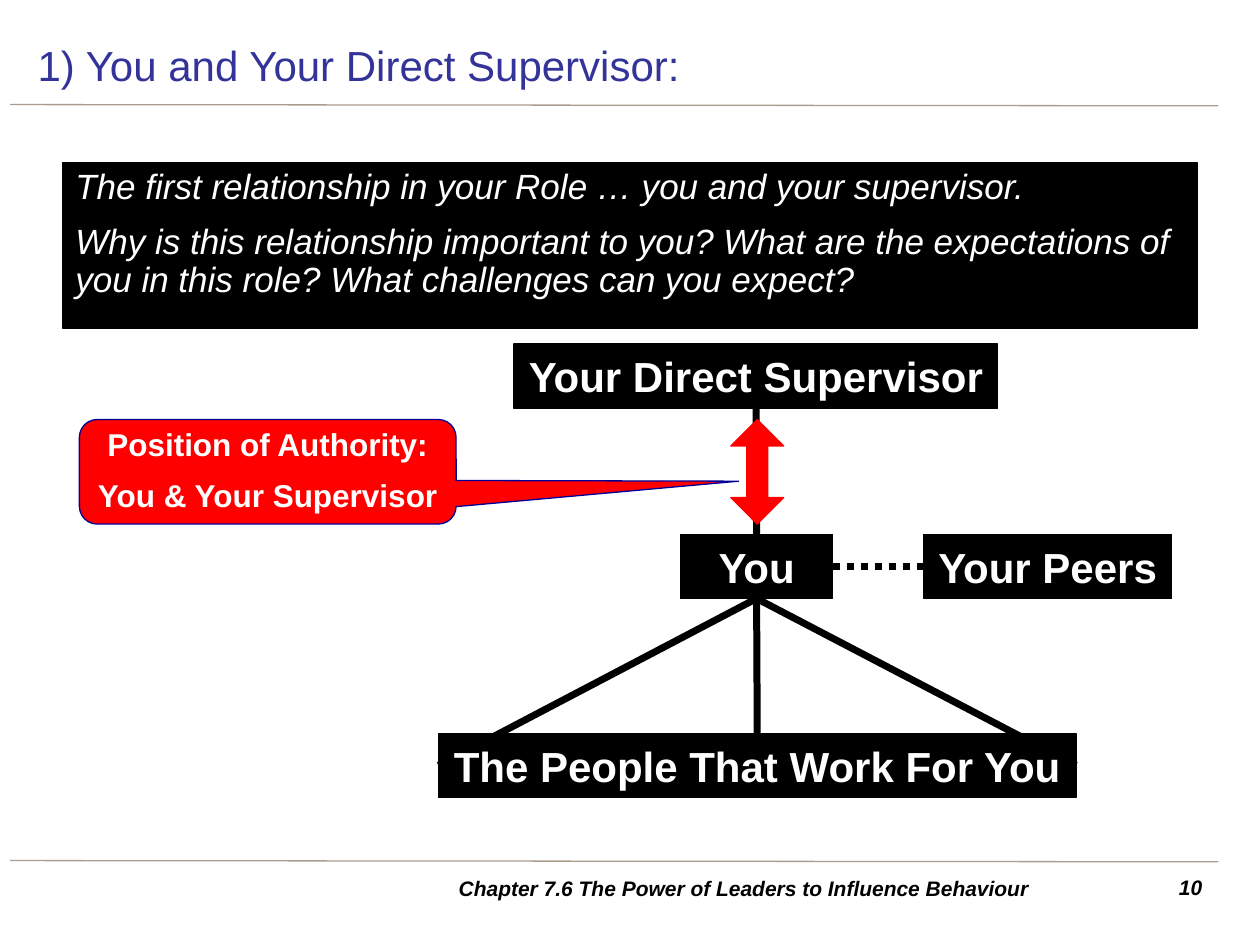
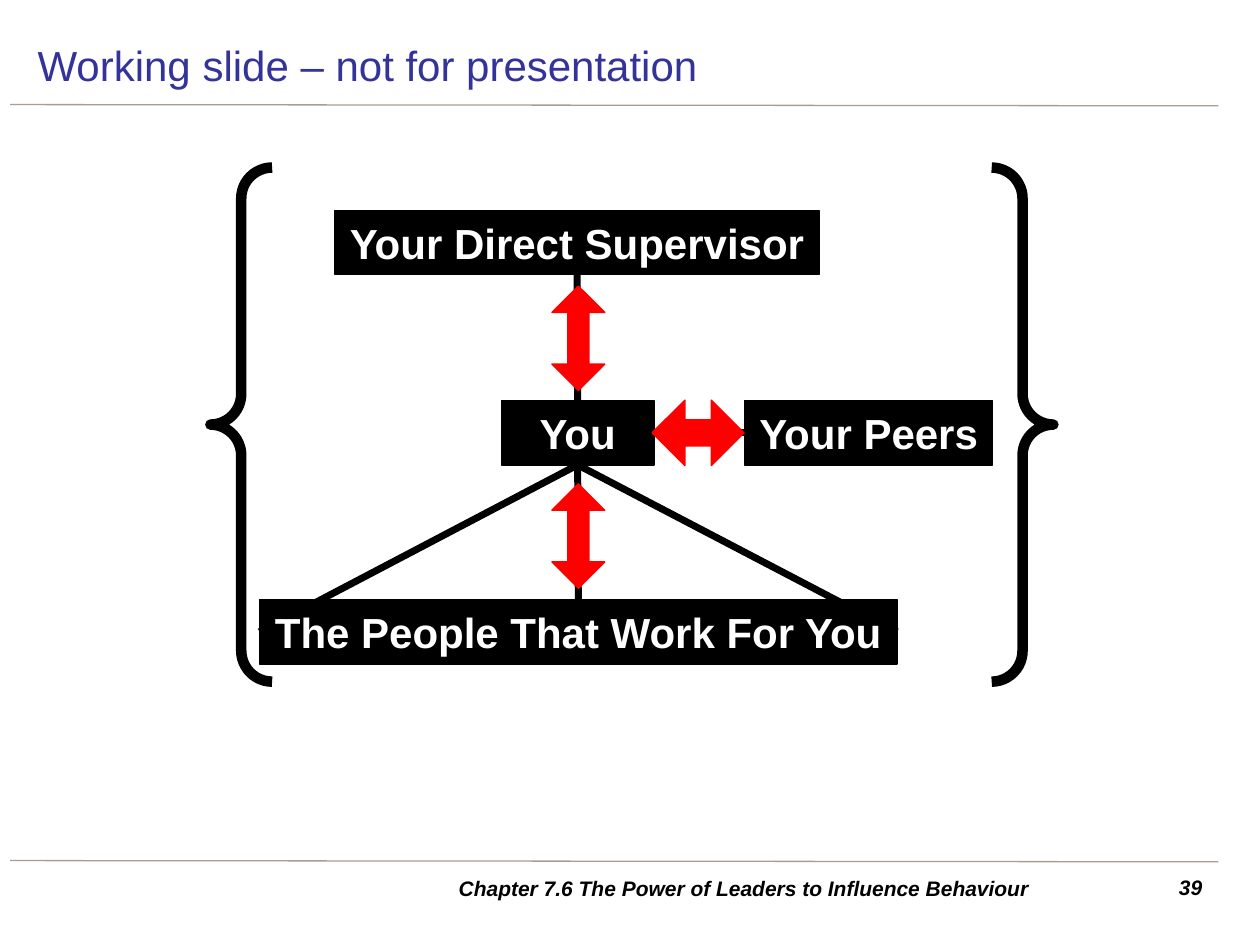
from pptx import Presentation
from pptx.dml.color import RGBColor
from pptx.enum.dml import MSO_LINE
from pptx.enum.shapes import MSO_CONNECTOR, MSO_SHAPE
from pptx.enum.text import MSO_ANCHOR, PP_ALIGN
from pptx.oxml.ns import qn
from pptx.util import Inches, Pt
from lxml.etree import SubElement

COLOURS = {"title": "333399", "rule": "AA9C8F", "ink": "000000",
           "paper": "FFFFFF", "accent": "FF0000", "callout_edge": "000099"}
FONTS = {
    "title": {"size": Pt(24)},
    "footer": {"size": Pt(12), "bold": True, "italic": True},
    "role": {"size": Pt(24), "bold": True},
    "intro": {"size": Pt(20), "italic": True},
    "callout": {"size": Pt(18), "bold": True},
}
SPACED = {"line_spacing": 0.9, "space_before": Pt(10)}
PARAGRAPHS = {"intro": SPACED, "callout": SPACED}
FOOTER = "Chapter 7.6 The Power of Leaders to Influence Behaviour"
TOP, LEFT, BOTTOM, RIGHT = range(4)


class Deck:
    """Holds the shared style and the slide being drawn."""

    def __init__(self):
        self.presentation = Presentation()
        self.presentation.slide_width = Inches(10)
        self.presentation.slide_height = Inches(7.5)

    def colour(self, name):
        return RGBColor.from_string(COLOURS[name])

    def new_slide(self, title, number):
        blank = self.presentation.slide_layouts[6]
        self.shapes = self.presentation.slides.add_slide(blank).shapes
        for y in (0.83, 6.83):
            self.line((0.08, y), (9.67, y + 0.01), "rule", 0.75)
        self.label((0.2, 0.24, 9.45, 0.55), title, "title", "title")
        self.label((9.06, 6.89, 0.58, 0.31), str(number), "footer", "ink",
                   PP_ALIGN.RIGHT, MSO_ANCHOR.TOP)
        self.label((2.95, 6.89, 5.91, 0.31), FOOTER, "footer", "ink", PP_ALIGN.CENTER)

    def set_text(self, shape, lines, style, colour, align, anchor, wrap=True):
        frame = shape.text_frame
        frame.word_wrap = wrap
        frame.vertical_anchor = anchor
        for index, line in enumerate(lines):
            paragraph = frame.add_paragraph() if index else frame.paragraphs[0]
            paragraph.text = line
            paragraph.alignment = align
            for name, value in PARAGRAPHS.get(style, {}).items():
                if index or name != "space_before":
                    setattr(paragraph, name, value)
            for name, value in {"name": "Arial", **FONTS[style]}.items():
                setattr(paragraph.font, name, value)
            paragraph.font.color.rgb = self.colour(colour)

    def label(self, place, text, style, colour,
              align=PP_ALIGN.LEFT, anchor=MSO_ANCHOR.MIDDLE):
        box = self.shapes.add_textbox(*map(Inches, place))
        self.set_text(box, [text], style, colour, align, anchor)

    def shape(self, kind, place, fill, edge, width=0.75, adjustments=()):
        shape = self.shapes.add_shape(kind, *map(Inches, place))
        shape.shadow.inherit = False
        if fill:
            shape.fill.solid()
            shape.fill.fore_color.rgb = self.colour(fill)
        else:
            shape.fill.background()
        shape.line.color.rgb = self.colour(edge)
        shape.line.width = Pt(width)
        for index, value in enumerate(adjustments):
            shape.adjustments[index] = value
        return shape

    def line(self, start=(0, 0), end=(0, 0), colour="ink", width=4):
        line = self.shapes.add_connector(MSO_CONNECTOR.STRAIGHT, *map(Inches, start + end))
        SubElement(line._element.spPr, qn("a:effectLst"))
        line.line.color.rgb = self.colour(colour)
        line.line.width = Pt(width)
        return line

    def link(self, begin, begin_side, end=None, end_side=None):
        line = self.line()
        line.begin_connect(begin, begin_side)
        if end:
            line.end_connect(end, end_side)
        return line

    def role(self, place, text):
        box = self.shape(MSO_SHAPE.RECTANGLE, place, "ink", "ink")
        self.set_text(box, [text], "role", "paper", PP_ALIGN.CENTER, MSO_ANCHOR.MIDDLE, False)
        return box

    def arrow(self, x, y, width=0.42, height=0.83, rotation=0):
        arrow = self.shape(MSO_SHAPE.UP_DOWN_ARROW, (x, y, width, height),
                           "accent", "accent", adjustments=(0.5, 0.4))
        arrow.rotation = rotation

    def organisation(self, x, y):
        supervisor = self.role((x + 0.6, y, 3.84, 0.51), "Your Direct Supervisor")
        you = self.role((x + 1.92, y + 1.51, 1.21, 0.51), "You")
        peers = self.role((x + 3.85, y + 1.51, 1.97, 0.51), "Your Peers")
        self.link(supervisor, BOTTOM, you, TOP)
        self.link(peers, LEFT, you, RIGHT).line.dash_style = MSO_LINE.ROUND_DOT
        sides = (TOP, LEFT, RIGHT)
        branches = [self.link(you, BOTTOM) for _ in sides]
        people = self.role((x, y + 3.09, 5.06, 0.51), "The People That Work For You")
        for branch, side in zip(branches, sides):
            branch.end_connect(people, side)
        self.arrow(x + 2.32, y + 0.6)

    def intro(self, place, lines):
        panel = self.shape(MSO_SHAPE.RECTANGLE, place, "ink", "ink")
        self.set_text(panel, lines, "intro", "paper", PP_ALIGN.LEFT, MSO_ANCHOR.TOP)

    def callout(self, place, lines, adjustments):
        callout = self.shape(MSO_SHAPE.ROUNDED_RECTANGULAR_CALLOUT, place, "accent",
                             "callout_edge", adjustments=adjustments)
        self.set_text(callout, lines, "callout", "paper", PP_ALIGN.CENTER, MSO_ANCHOR.MIDDLE)

    def braces(self, place):
        self.shape(MSO_SHAPE.DOUBLE_BRACE, place, None, "ink", 6, (0.06,))


def main():
    deck = Deck()

    deck.new_slide("1) You and Your Direct Supervisor:", 10)
    deck.organisation(3.48, 2.73)
    deck.intro((0.5, 1.29, 9, 1.32), [
        "The first relationship in your Role … you and your supervisor.",
        "Why is this relationship important to you? What are the expectations of "
        "you in this role? What challenges can you expect?"])
    deck.callout((0.63, 3.33, 2.99, 0.83),
                 ["Position of Authority:", "You & Your Supervisor"], (1.25, 0.09, 0.17))

    deck.new_slide("Working slide – not for presentation", 39)
    deck.organisation(2.06, 1.67)
    deck.arrow(4.38, 3.84)
    deck.arrow(5.28, 3.07, 0.52, 0.73, 90)
    deck.braces((1.67, 1.33, 6.69, 4.08))

    deck.presentation.save("out.pptx")


if __name__ == "__main__":
    main()
